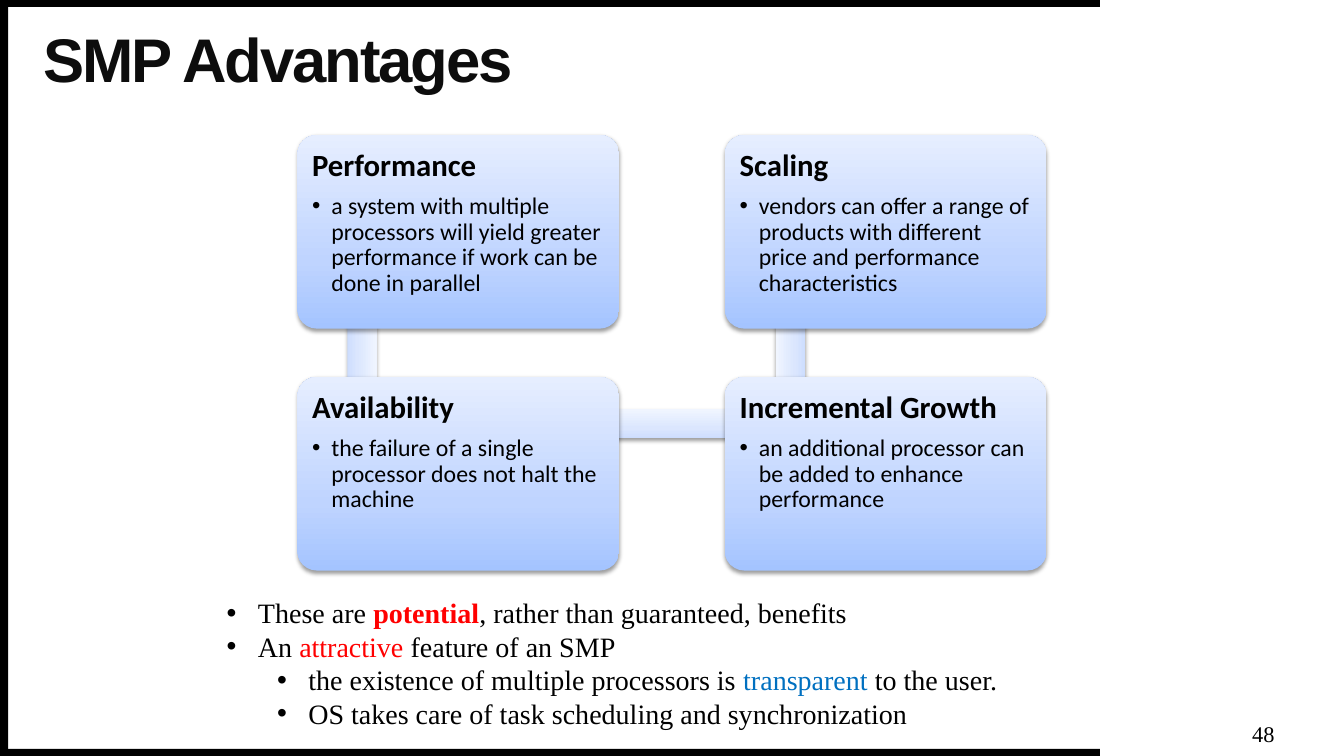
from pptx import Presentation
from pptx import util as u
from pptx.dml.color import RGBColor
from pptx.enum import shapes, text
from pptx.oxml import parse_xml
from pptx.oxml.ns import nsdecls, qn

BLACK, RED, BLUE = "000000", "FF0000", "0070C0"
CARD_FILL = [(0, "A4C4FF"), (35, "BFD4FF"), (100, "E6EEFF")]
BAR_FILL = [(0, "CDDDFE"), (35, "DBE6FE"), (100, "F0F5FF")]
CARD_X, CARD_Y, COL_STEP, ROW_STEP = 2.95, 1.34, 4.24, 2.4

HEADING = dict(name="Calibri", size=u.Pt(22), bold=True)
DETAIL = dict(name="Calibri", size=u.Pt(17))
BODY = dict(name="Times New Roman", size=u.Pt(20))
TITLE = dict(name="Arial", size=u.Pt(44), bold=True)
NUMBER = dict(name="Times New Roman", size=u.Pt(16))

# column, row, heading, detail
CARDS = [
    (0, 0, "Performance", "a system with multiple processors will yield greater "
     "performance if work can be done in parallel"),
    (0, 1, "Availability", "the failure of a single processor does not halt the machine"),
    (1, 1, "Incremental Growth", "an additional processor can be added to enhance performance"),
    (1, 0, "Scaling", "vendors can offer a range of products with different price "
     "and performance characteristics"),
]
# left, top, width, height, rotation of the bar drawn before each card
BARS = [(2.4, 2.87, 2.38, 0.29, 90), (3.6, 4.06, 4.23, 0.29, 0),
        (6.65, 2.87, 2.38, 0.29, 270), None]

# indent level, runs of (words, colour, bold)
NOTES = [
    (0, [("These are ", BLACK, False), ("potential", RED, True),
         (", rather than guaranteed, benefits", BLACK, False)]),
    (0, [("An ", BLACK, False), ("attractive", RED, False),
         (" feature of an SMP", BLACK, False)]),
    (1, [("the existence of multiple processors is ", BLACK, False),
         ("transparent", BLUE, False), (" to the user.", BLACK, False)]),
    (1, [("OS takes care of task scheduling and synchronization", BLACK, False)]),
]


def rgb(value):
    return RGBColor.from_string(value)


def assign(target, values):
    for key, value in values.items():
        setattr(target, key, value)


class Deck:
    def __init__(self, prs):
        self.slide = prs.slides.add_slide(prs.slide_layouts[6])

    def shape(self, kind, box):
        sp = self.slide.shapes.add_shape(kind, *map(u.Inches, box))
        sp.shadow.inherit = False
        sp.line.fill.background()
        return sp

    def edge(self, *box):
        """Solid black strip along a side of the slide."""
        sp = self.shape(shapes.MSO_SHAPE.RECTANGLE, box)
        sp.fill.solid()
        sp.fill.fore_color.rgb = rgb(BLACK)

    def raised(self, kind, box, stops):
        """Shape with an upward gradient and a soft shadow below."""
        sp = self.shape(kind, box)
        sp.fill.gradient()
        sp.fill.gradient_angle = 90
        stop_list = sp._element.spPr.find(".//" + qn("a:gsLst"))
        stop_list.clear()
        for position, colour in stops:
            stop_list.append(parse_xml(
                f'<a:gs {nsdecls("a")} pos="{position * 1000}"><a:srgbClr val="{colour}"/></a:gs>'))
        sp._element.spPr.find(qn("a:effectLst")).append(parse_xml(
            f'<a:outerShdw {nsdecls("a")} blurRad="{u.Pt(3.1)}" dist="{u.Pt(1.6)}" '
            'dir="5400000" rotWithShape="0"><a:srgbClr val="000000">'
            '<a:alpha val="38000"/></a:srgbClr></a:outerShdw>'))
        return sp

    def bar(self, left, top, width, height, rotation):
        sp = self.raised(shapes.MSO_SHAPE.RECTANGLE, (left, top, width, height), BAR_FILL)
        sp.rotation = rotation

    def card(self, col, row, heading, detail):
        box = (CARD_X + col * COL_STEP, CARD_Y + row * ROW_STEP, 3.19, 1.92)
        sp = self.raised(shapes.MSO_SHAPE.ROUNDED_RECTANGLE, box, CARD_FILL)
        sp.adjustments[0] = 0.1
        tf = self.frame(sp, text.MSO_ANCHOR.TOP, 0.09, 0.09)
        p = tf.paragraphs[0]
        assign(p, dict(line_spacing=0.9, space_after=u.Pt(7.7), alignment=text.PP_ALIGN.LEFT))
        self.run(p, heading, HEADING)
        p = tf.add_paragraph()
        self.bullet(p, 0.19, 0.19, 1)
        assign(p, dict(line_spacing=0.9, space_after=u.Pt(2.5), alignment=text.PP_ALIGN.LEFT))
        self.run(p, detail, DETAIL)

    def textbox(self, box, anchor=text.MSO_ANCHOR.TOP, side=0, end=0):
        sp = self.slide.shapes.add_textbox(*map(u.Inches, box))
        return self.frame(sp, anchor, side, end)

    def frame(self, sp, anchor, side, end):
        """Text frame of a shape, with its side and end margins set."""
        tf = sp.text_frame
        assign(tf, dict(word_wrap=True, vertical_anchor=anchor,
                        margin_left=u.Inches(side), margin_right=u.Inches(side),
                        margin_top=u.Inches(end), margin_bottom=u.Inches(end)))
        return tf

    def bullet(self, p, margin, hang, level):
        p.level = level
        pPr = p._p.get_or_add_pPr()
        pPr.set("marL", str(u.Inches(margin)))
        pPr.set("indent", str(-u.Inches(hang)))
        pPr.append(parse_xml(f'<a:buFont {nsdecls("a")} typeface="Arial"/>'))
        pPr.append(parse_xml(f'<a:buChar {nsdecls("a")} char="•"/>'))

    def run(self, p, words, style, colour=BLACK):
        r = p.add_run()
        r.text = words
        assign(r.font, style)
        r.font.color.rgb = rgb(colour)
        return r

    def title(self, words):
        p = self.textbox((0.43, 0.25, 10.06, 0.74), text.MSO_ANCHOR.MIDDLE).paragraphs[0]
        p.line_spacing = 0.9
        r = self.run(p, words, TITLE, "0D0D0D")
        r._r.get_or_add_rPr().set("spc", "-150")

    def number(self, words):
        p = self.textbox((12.38, 7.13, 0.3, 0.3), text.MSO_ANCHOR.MIDDLE).paragraphs[0]
        p.alignment = text.PP_ALIGN.CENTER
        self.run(p, words, NUMBER)

    def notes(self, lines):
        tf = self.textbox((2.15, 5.86, 8.35, 1.45), side=0.1, end=0.05)
        for i, (level, runs) in enumerate(lines):
            p = tf.add_paragraph() if i else tf.paragraphs[0]
            self.bullet(p, 0.31 + 0.5 * level, 0.31, level)
            for words, colour, bold in runs:
                self.run(p, words, dict(BODY, bold=bold), colour)


def main():
    prs = Presentation()
    prs.slide_width, prs.slide_height = u.Inches(13.33), u.Inches(7.5)
    s = Deck(prs)
    s.edge(0, 7.43, 10.91, 0.07)
    s.edge(0, 0, 10.91, 0.07)
    s.edge(0, 0.03, 0.08, 7.47)
    s.title("SMP Advantages")
    s.number("48")
    for bar, card in zip(BARS, CARDS):
        if bar:
            s.bar(*bar)
        s.card(*card)
    s.notes(NOTES)
    prs.save("out.pptx")


if __name__ == "__main__":
    main()
